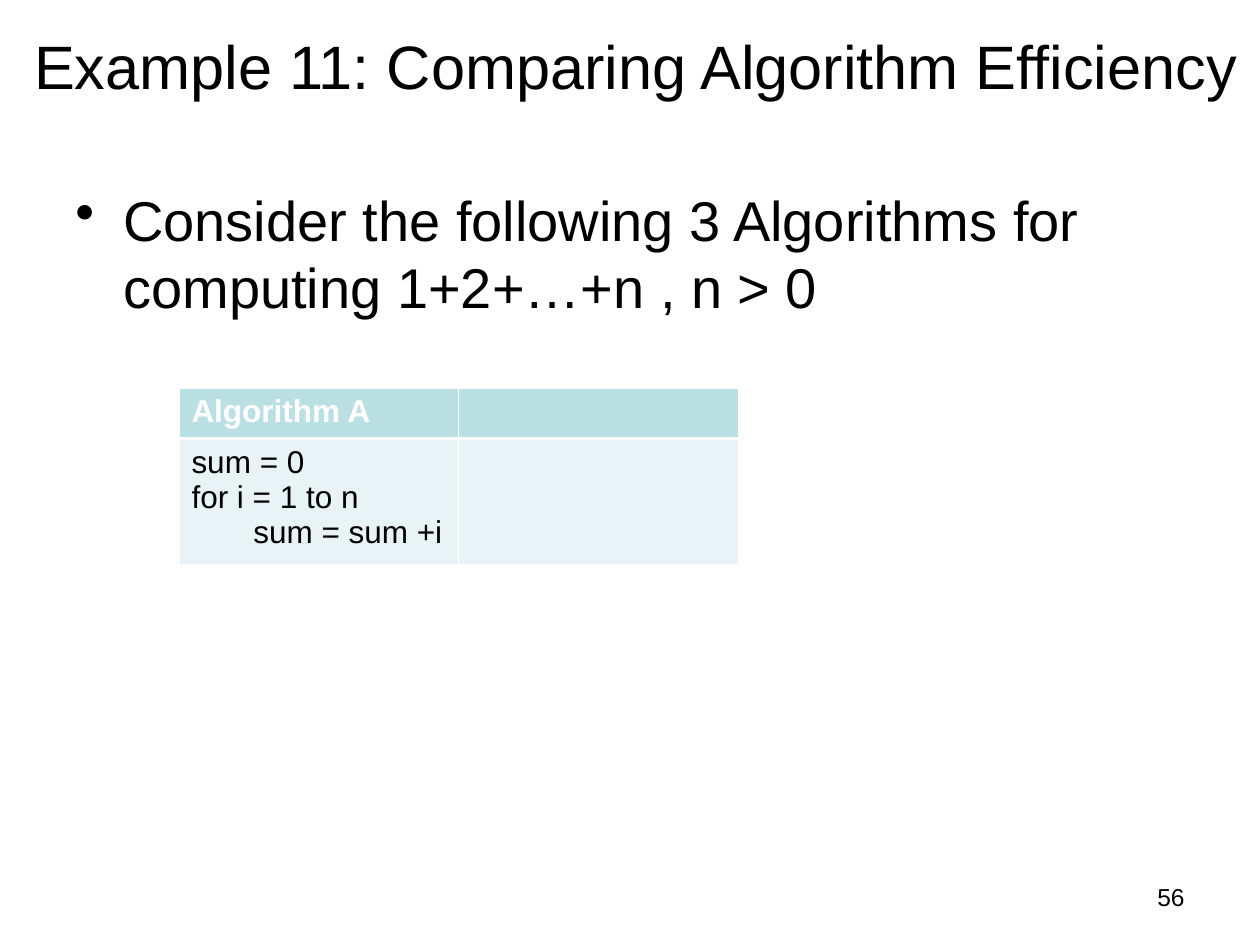
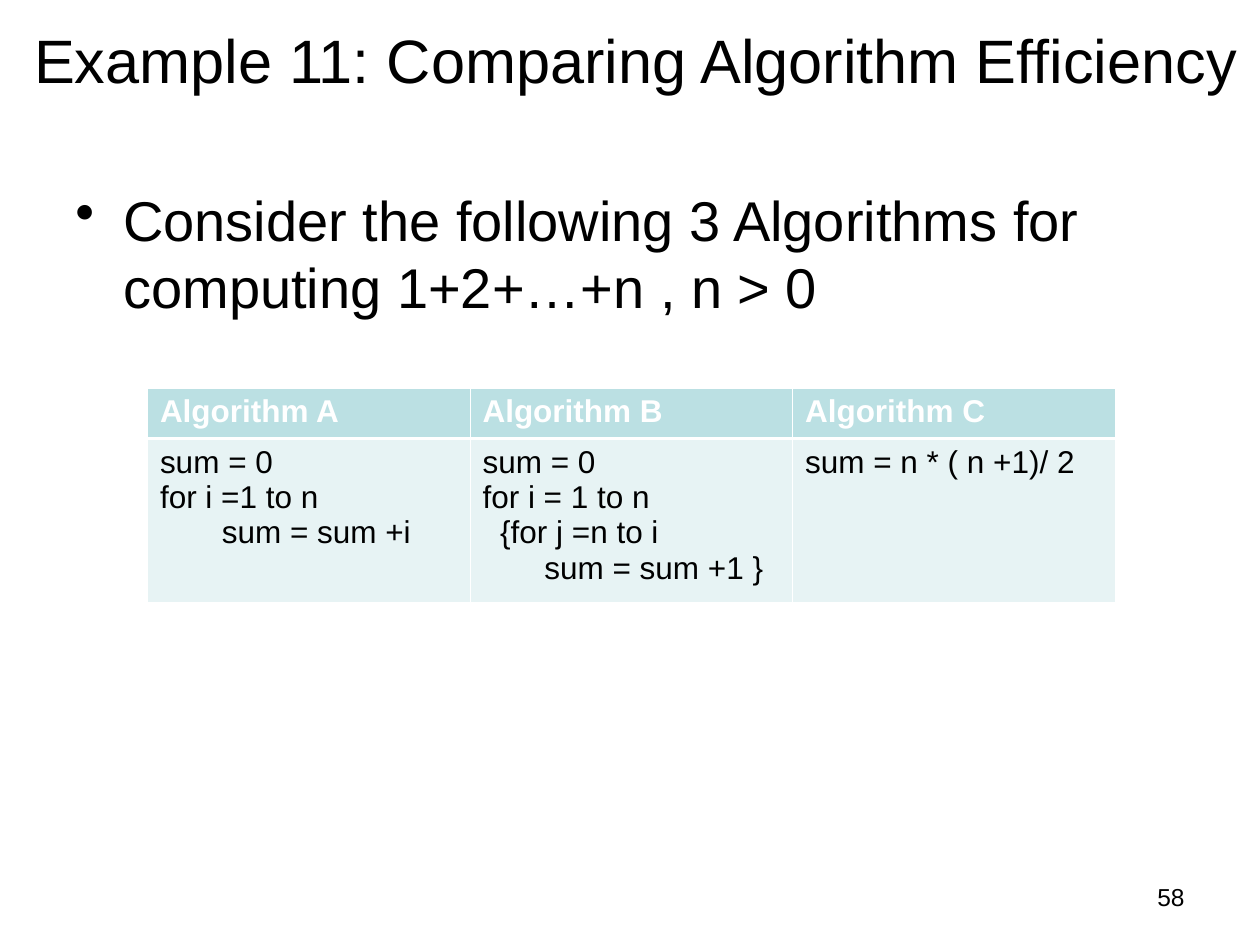
import pptx
import pptx.dml.color
import pptx.enum.text
import pptx.oxml.ns
import pptx.util
from lxml import etree
from pptx.util import Inches

COLORS = {"text": "000000", "white": "FFFFFF", "header": "BBE0E3", "cell": "E7F3F4"}
FONT = "Arial"
ALIGN = pptx.enum.text.PP_ALIGN
ANCHOR = pptx.enum.text.MSO_ANCHOR
THIN, THICK = 0.45, 1.47
TITLE = "Example 11: Comparing Algorithm Efficiency"
TASK = "Consider the following 3 Algorithms for computing 1+2+…+n , n > 0"


def rgb(name):
    return pptx.dml.color.RGBColor.from_string(COLORS[name])


def write(para, text, size=18, color="text", bold=False, align=ALIGN.LEFT, indent=0, before=0):
    para.alignment = align
    para.space_before = pptx.util.Pt(before)
    if indent:
        para._p.get_or_add_pPr().set("marL", str(Inches(indent)))
    span = para.add_run()
    span.text = text
    span.font.name = FONT
    span.font.size = pptx.util.Pt(size)
    span.font.bold = bold
    span.font.color.rgb = rgb(color)


def add_bullet(para, hanging):
    properties = para._p.get_or_add_pPr()
    properties.set("indent", str(-Inches(hanging)))
    bullet = etree.SubElement(properties, pptx.oxml.ns.qn("a:buChar"))
    bullet.set("char", "•")


def add_box(page, left, top, width, height):
    box = page.shapes.add_textbox(Inches(left), Inches(top), Inches(width), Inches(height))
    box.text_frame.word_wrap = True
    return box.text_frame.paragraphs[0]


def add_title(page, top):
    title = page.shapes.title
    title.left, title.top = Inches(0.17), Inches(top)
    title.width, title.height = Inches(10), Inches(0.78)
    frame = title.text_frame
    frame.auto_size = pptx.enum.text.MSO_AUTO_SIZE.NONE
    frame.vertical_anchor = ANCHOR.MIDDLE
    write(frame.paragraphs[0], TITLE, size=35)


def add_borders(cell, top, bottom):
    properties = cell._tc.get_or_add_tcPr()
    for side, points in (("L", THIN), ("R", THIN), ("T", top), ("B", bottom)):
        line = etree.SubElement(properties, pptx.oxml.ns.qn(f"a:ln{side}"))
        line.set("w", str(pptx.util.Pt(points)))
        fill = etree.SubElement(line, pptx.oxml.ns.qn("a:solidFill"))
        etree.SubElement(fill, pptx.oxml.ns.qn("a:srgbClr")).set("val", COLORS["white"])


def fill_cell(cell, lines, fill, top, bottom, **style):
    add_borders(cell, top, bottom)
    cell.fill.solid()
    cell.fill.fore_color.rgb = rgb(fill)
    for index, (text, indent) in enumerate(lines):
        frame = cell.text_frame
        para = frame.add_paragraph() if index else frame.paragraphs[0]
        write(para, text, indent=indent, **style)


def add_algorithms(page, left, column_width, code_height, algorithms):
    heights = (0.4, code_height)
    count = len(algorithms)
    frame = page.shapes.add_table(2, count, Inches(left), Inches(3.08),
                                  Inches(column_width * count), Inches(sum(heights)))
    table = frame.table
    for row, height in zip(table.rows, heights):
        row.height = Inches(height)
    for index, (name, code) in enumerate(algorithms):
        table.columns[index].width = Inches(column_width)
        heading = [(name, 0)] if name else []
        fill_cell(table.cell(0, index), heading, "header", THIN, THICK, color="white", bold=True)
        fill_cell(table.cell(1, index), code, "cell", THICK, THIN)


def add_page(deck, number, title_top):
    page = deck.slides.add_slide(deck.slide_layouts[5])
    add_title(page, title_top)
    task = add_box(page, 0.5, 1.42, 9, 5.28)
    write(task, TASK, size=32, indent=0.38, before=8)
    add_bullet(task, 0.38)
    write(add_box(page, 7.17, 6.95, 2.33, 0.4), number, size=14, align=ALIGN.RIGHT)
    return page


def main():
    """Build the two slides that compare the summing algorithms."""
    deck = pptx.Presentation()
    deck.slide_width, deck.slide_height = Inches(10), Inches(7.5)

    page = add_page(deck, "56", 0.13)
    add_algorithms(page, 1.42, 2.22, 1, [
        ("Algorithm A", [("sum = 0", 0), ("for i = 1 to n", 0), ("sum = sum +i", 0.49)]),
        ("", []),
    ])

    page = add_page(deck, "58", 0.08)
    add_algorithms(page, 1.17, 2.56, 1.3, [
        ("Algorithm A", [("sum = 0", 0), ("for i =1 to n", 0), ("sum = sum +i", 0.49)]),
        ("Algorithm B", [("sum = 0", 0), ("for i = 1 to n", 0), ("{for j =n to i", 0.14),
                         ("sum = sum +1 }", 0.49)]),
        ("Algorithm C", [("sum = n * ( n +1)/ 2", 0)]),
    ])

    deck.save("out.pptx")


if __name__ == "__main__":
    main()
